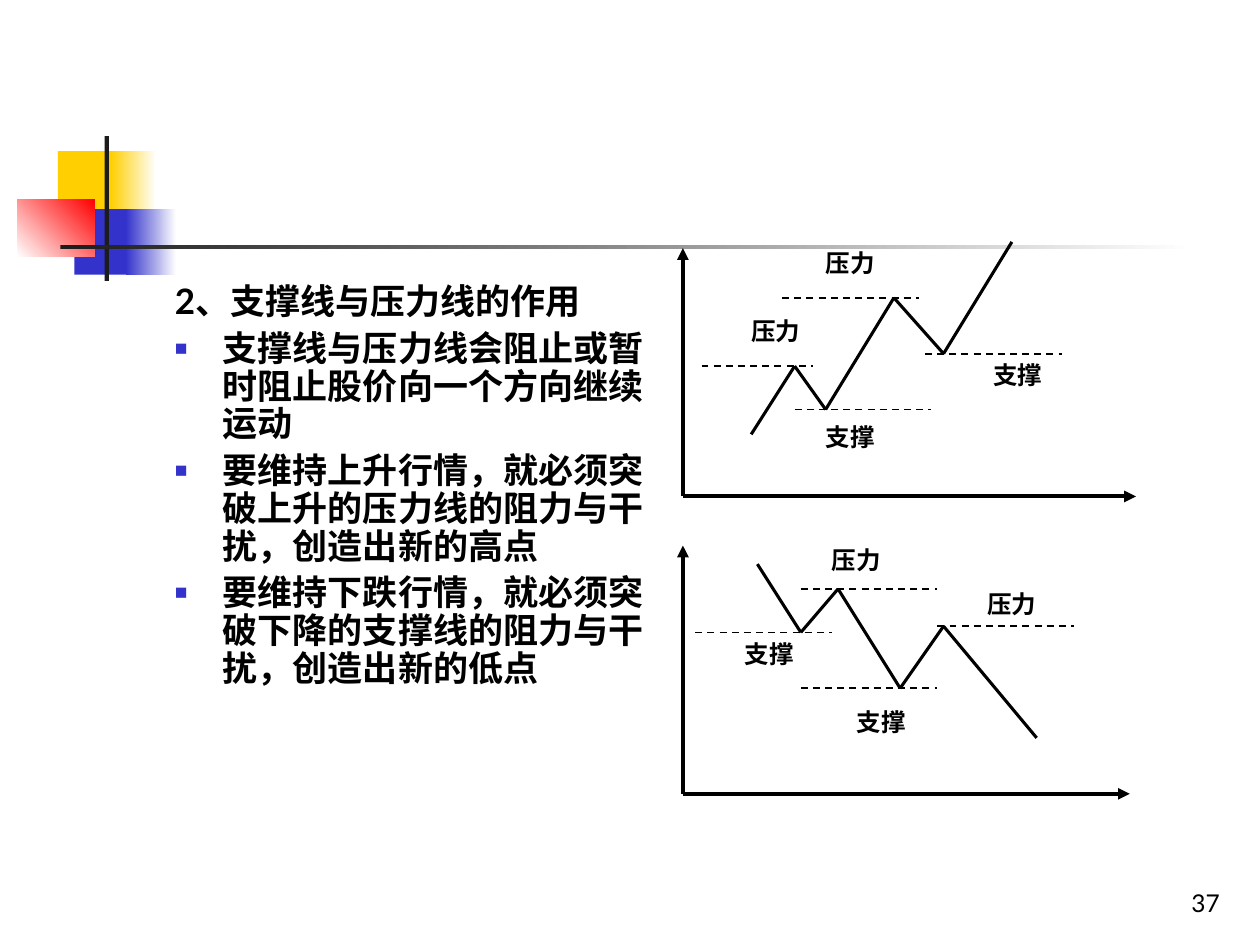
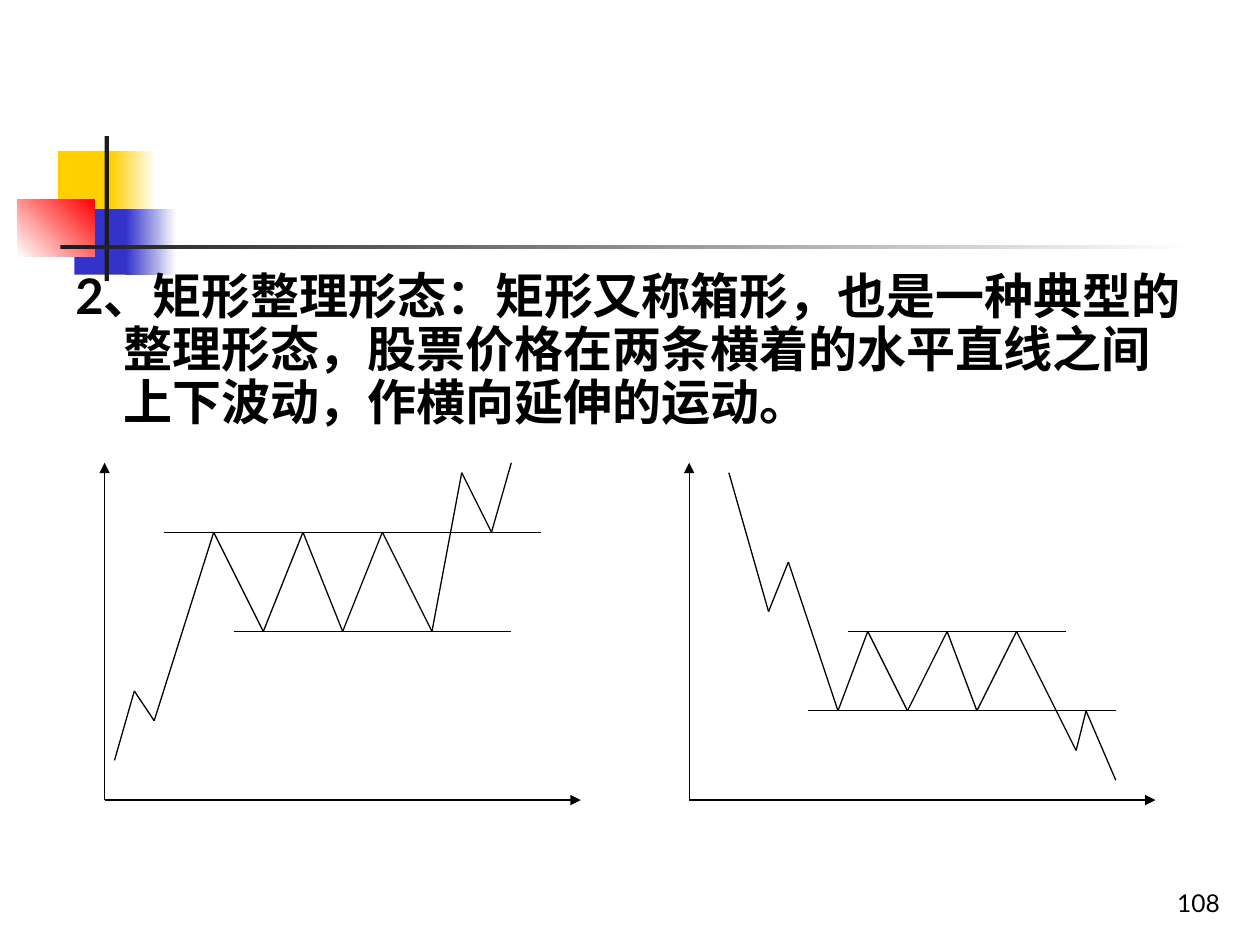
import dataclasses
import itertools

import pptx
import pptx.dml.color
import pptx.enum.dml
import pptx.enum.shapes
import pptx.enum.text
import pptx.oxml
import pptx.oxml.ns
import pptx.util

SHAPE = pptx.enum.shapes.MSO_SHAPE
STRAIGHT = pptx.enum.shapes.MSO_CONNECTOR.STRAIGHT
ANCHOR = pptx.enum.text.MSO_ANCHOR
ALIGN = pptx.enum.text.PP_ALIGN
DASH = pptx.enum.dml.MSO_LINE.DASH
CELL = pptx.util.Inches(0.1)
COLUMNS, ROWS = 100, 75


@dataclasses.dataclass(frozen=True)
class Theme:
    """Colours, fonts and type sizes shared by the slides."""

    black: str = "000000"
    white: str = "FFFFFF"
    charcoal: str = "1C1C1C"
    yellow: str = "FFCF01"
    blue: str = "3333CC"
    red: str = "FF0000"
    body_font: str = "Lato"
    label_font: str = "Arial"
    small: int = 14
    medium: int = 20
    large: int = 28


THEME = Theme()

EMBLEM = [
    ((4.6, 12, 4.8, 5.2), [THEME.yellow], 0),
    ((8.8, 12, 3.6, 5.2), [THEME.yellow, THEME.white], 0),
    ((5.9, 16.6, 4.6, 5.2), [THEME.blue], 0),
    ((10, 16.6, 4, 5.2), [THEME.blue, THEME.white], 0),
    ((1.4, 15.8, 6.1, 4.6), [THEME.white, THEME.red], 45),
    ((8.3, 10.8, 0.35, 11.5), [THEME.charcoal], 0),
    ((4.8, 19.45, 90, 0.35), [THEME.charcoal, THEME.white], 0),
]


@dataclasses.dataclass(frozen=True)
class Plot:
    """A price sketch whose points count units right of and above its origin."""

    shapes: object
    origin: tuple
    unit: float
    weight: float
    axis_weight: float

    def place(self, point):
        """Turn a point of the sketch into grid columns and rows."""
        return (self.origin[0] + point[0] * self.unit,
                self.origin[1] - point[1] * self.unit)

    def line(self, start, end, weight, **options):
        """Draw one line between two points of the sketch."""
        add_line(self.shapes, self.place(start), self.place(end), weight, **options)

    def axes(self, width, height):
        """Draw the two arrowed axes."""
        for end in ((width, 0), (0, height)):
            self.line((0, 0), end, self.axis_weight, arrow=True)

    def price(self, points):
        """Draw the price as joined straight segments."""
        for start, end in itertools.pairwise(points):
            self.line(start, end, self.weight)

    def levels(self, levels, weight, dash=None):
        """Draw horizontal levels given as left, right and height."""
        for left, right, height in levels:
            self.line((left, height), (right, height), weight, dash=dash)

    def labels(self, labels):
        """Write labels given as text, left, top and width."""
        for text, left, top, width in labels:
            column, row = self.place((left, top))
            box = add_box(self.shapes, (column, row, width * self.unit, 3.4))
            add_para(box, text, THEME.small, THEME.label_font, bold=True)


def grid(*cells):
    """Turn grid cells into lengths."""
    return [round(cell * CELL) for cell in cells]


def colour(value):
    """Make a colour from its hex value."""
    return pptx.dml.color.RGBColor.from_string(value)


def apply(target, values):
    """Set format values on an object."""
    for name, value in values.items():
        setattr(target, name, value)


def add_block(shapes, place, colours, angle):
    """Draw a borderless rectangle with a plain or gradient fill."""
    block = shapes.add_shape(SHAPE.RECTANGLE, *grid(*place))
    block.shadow.inherit = False
    block.line.fill.background()
    if len(colours) == 1:
        block.fill.solid()
        block.fill.fore_color.rgb = colour(colours[0])
        return
    block.fill.gradient()
    block.fill.gradient_angle = angle
    for stop, value in zip(block.fill.gradient_stops, colours):
        stop.color.rgb = colour(value)


def add_line(shapes, start, end, weight, dash=None, arrow=False):
    """Draw a straight black line, dashed or arrowed if asked."""
    line = shapes.add_connector(STRAIGHT, *grid(*start, *end))
    line.line.color.rgb = colour(THEME.black)
    apply(line.line, {"width": pptx.util.Pt(weight), "dash_style": dash})
    properties = line._element.spPr
    if arrow:
        tail = pptx.oxml.ns.qn("a:tailEnd")
        properties.find(pptx.oxml.ns.qn("a:ln")).makeelement(tail, {})
        pptx.oxml.xmlchemy.OxmlElement("a:tailEnd")
        head = pptx.oxml.xmlchemy.OxmlElement("a:tailEnd")
        head.set("type", "triangle")
        properties.find(pptx.oxml.ns.qn("a:ln")).append(head)
    properties.append(pptx.oxml.xmlchemy.OxmlElement("a:effectLst"))


def add_box(shapes, place, anchor=ANCHOR.TOP):
    """Add a wrapping text box and return its text frame."""
    frame = shapes.add_textbox(*grid(*place)).text_frame
    apply(frame, {"word_wrap": True, "vertical_anchor": anchor})
    return frame


def add_para(frame, text, size, font, bold=False, bullet=False, hanging=False, **layout):
    """Write a paragraph, using the empty first one if there is one."""
    first = frame.paragraphs[0]
    para = first if not first.runs else frame.add_paragraph()
    apply(para, layout)
    properties = para._p.get_or_add_pPr()
    if hanging:
        indent = pptx.util.Inches(0.38)
        properties.set("marL", str(indent))
        properties.set("indent", str(-indent))
    if bullet:
        add_bullet(properties)
    span = para.add_run()
    span.text = text
    apply(span.font, {"name": font, "size": pptx.util.Pt(size), "bold": bold})
    span.font.color.rgb = colour(THEME.black)


def add_bullet(properties):
    """Give a paragraph a small blue square bullet."""
    tint = pptx.oxml.xmlchemy.OxmlElement("a:buClr")
    shade = pptx.oxml.xmlchemy.OxmlElement("a:srgbClr")
    shade.set("val", THEME.blue)
    tint.append(shade)
    properties.append(tint)
    for tag, name, value in (("a:buSzPct", "val", "60000"),
                             ("a:buFont", "typeface", THEME.label_font),
                             ("a:buChar", "char", "■")):
        part = pptx.oxml.xmlchemy.OxmlElement(tag)
        part.set(name, value)
        properties.append(part)


def add_page(deck, number):
    """Add a blank page with the emblem and its page number."""
    page = deck.slides.add_slide(deck.slide_layouts[6])
    for place, colours, angle in EMBLEM:
        add_block(page.shapes, place, colours, angle)
    box = add_box(page.shapes, (77, 68.3, 20.8, 5), ANCHOR.BOTTOM)
    add_para(box, number, THEME.small, THEME.body_font, alignment=ALIGN.RIGHT)
    return page


def add_body(page, place, size, heading, points=()):
    """Write a bold heading with bulleted points below it."""
    box = add_box(page.shapes, place)
    style = {"bold": True, "hanging": True, "line_spacing": 0.9}
    add_para(box, heading, size, THEME.body_font, **style)
    for point in points:
        add_para(box, point, size, THEME.body_font, bullet=True,
                 space_before=pptx.util.Pt(size / 4), **style)


def add_plot(page, origin, divisions, weight, axis_weight):
    """Start a grouped sketch whose unit divides the page width."""
    shapes = page.shapes.add_group_shape().shapes
    return Plot(shapes, origin, COLUMNS / divisions, weight, axis_weight)


def support_page(deck):
    """Build the page on support and pressure lines."""
    page = add_page(deck, "37")
    add_body(page, (12.9, 22.1, 41.7, 45), THEME.medium, "2、支撑线与压力线的作用", [
        "支撑线与压力线会阻止或暂时阻止股价向一个方向继续运动",
        "要维持上升行情，就必须突破上升的压力线的阻力与干扰，创造出新的高点",
        "要维持下跌行情，就必须突破下降的支撑线的阻力与干扰，创造出新的低点",
    ])
    rising = add_plot(page, (54.2, 39.4), 203, 1.75, 2.25)
    rising.axes(73, 40)
    rising.price([(11, 10), (18, 21), (23, 14), (34, 32), (42, 23), (53, 41)])
    rising.levels([(39, 61, 23), (3, 21, 21), (16, 38, 32), (18, 40, 14)], 1, DASH)
    rising.labels([("压力", 9, 30, 13), ("压力", 21, 41, 17),
                   ("支撑", 48, 23, 17), ("支撑", 21, 13, 18)])
    falling = add_plot(page, (54.2, 63), 203, 1.75, 2.25)
    falling.axes(72, 40)
    falling.price([(12, 37), (19, 26), (25, 33), (35, 17), (42, 27), (57, 9)])
    falling.levels([(41, 63, 27), (19, 41, 17), (19, 41, 33), (2, 24, 26)], 1, DASH)
    falling.labels([("压力", 22, 41, 14), ("压力", 47, 34, 20),
                    ("支撑", 8, 26, 15), ("支撑", 26, 15, 20)])


def rectangle_page(deck):
    """Build the page on the rectangle consolidation pattern."""
    page = add_page(deck, "108")
    add_body(page, (5, 21.1, 90, 15.6), THEME.large,
             "2、矩形整理形态：矩形又称箱形，也是一种典型的整理形态，"
             "股票价格在两条横着的水平直线之间上下波动，作横向延伸的运动。")
    rising = add_plot(page, (8.3, 63.5), 127, 0.75, 0.75)
    rising.axes(48, 34)
    rising.levels([(6, 44, 27), (13, 41, 17)], 0.75)
    rising.price([(1, 4), (3, 11), (5, 8), (11, 27), (16, 17), (20, 27), (24, 17),
                  (28, 27), (33, 17), (36, 33), (39, 27), (41, 34)])
    falling = add_plot(page, (54.7, 63.5), 127, 0.75, 0.75)
    falling.axes(47, 34)
    falling.levels([(12, 43, 9), (16, 38, 17)], 0.75)
    falling.price([(4, 33), (8, 19), (10, 24), (15, 9), (18, 17), (22, 9), (26, 17),
                   (29, 9), (33, 17), (39, 5), (40, 9), (43, 2)])


def main():
    """Build and save the deck."""
    deck = pptx.Presentation()
    deck.slide_width, deck.slide_height = grid(COLUMNS, ROWS)
    support_page(deck)
    rectangle_page(deck)
    deck.save("out.pptx")


if __name__ == "__main__":
    main()
